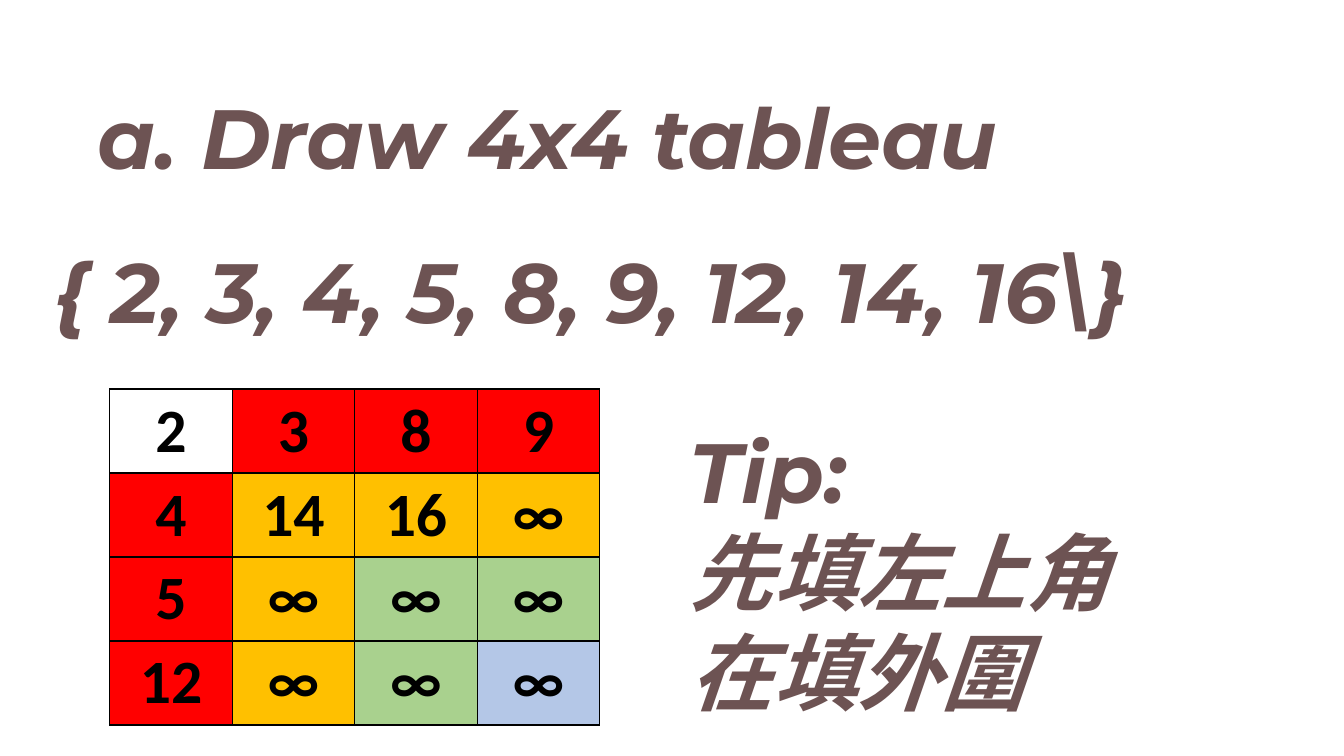
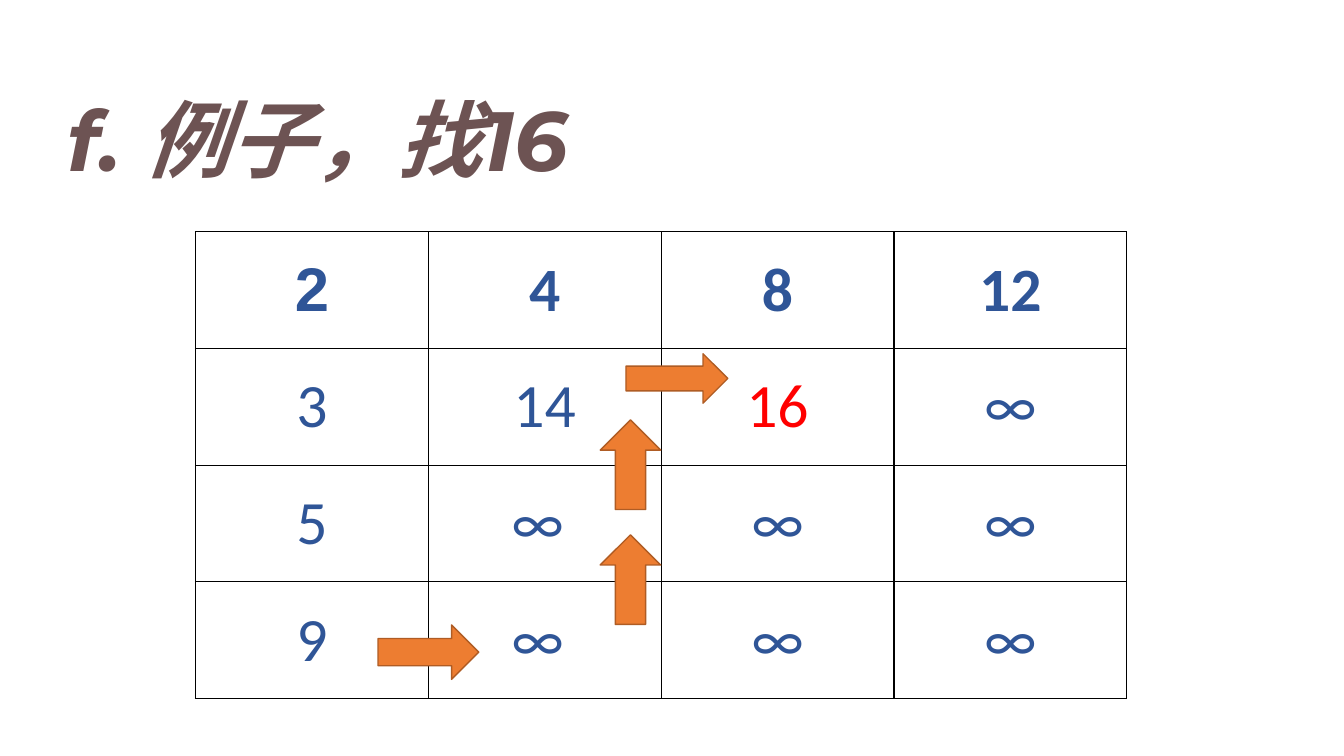
import pptx
import pptx.dml.color
import pptx.enum.shapes
import pptx.enum.text
import pptx.oxml
import pptx.oxml.ns
import pptx.util

WIDTH, HEIGHT = pptx.util.Inches(13.33), pptx.util.Inches(7.5)
COLUMN, ROW = WIDTH / 80, HEIGHT / 45

COLORS = {
    "heading": "6D5353",
    "white": "FFFFFF",
    "black": "000000",
    "red": "FF0000",
    "gold": "FFC000",
    "green": "A9D18E",
    "pale_blue": "B4C7E7",
    "blue": "2F5597",
    "arrow": "ED7D31",
    "arrow_edge": "AF5C24",
}
RING_COLORS = ["red", "gold", "green", "pale_blue"]
TITLE_ONLY, TITLE_AND_BODY = 5, 1

FILLED_TABLEAU = [
    ["2", "3", "8", "9"],
    ["4", "14", "16", "∞"],
    ["5", "∞", "∞", "∞"],
    ["12", "∞", "∞", "∞"],
]
SEARCHED_TABLEAU = [
    ["2", "4", "8", "12"],
    ["3", "14", "16", "∞"],
    ["5", "∞ ", "∞", "∞"],
    ["9", "∞ ", "∞", "∞"],
]
# Left, top, width, height and rotation of each step of the search
SEARCH_STEPS = [
    (34.86, 32.7, 5.34, 3.6, 270),
    (22.5, 37.2, 6, 3.24, 0),
    (34.86, 25.86, 5.34, 3.6, 270),
    (37.26, 21.06, 6.06, 2.94, 0),
]


def rgb(name):
    return pptx.dml.color.RGBColor.from_string(COLORS[name])


def grid_box(left, top, width, height):
    """Turn grid columns and rows into slide lengths."""
    return [round(n * unit) for n, unit in
            ((left, COLUMN), (top, ROW), (width, COLUMN), (height, ROW))]


def paint(shape_or_cell, color):
    shape_or_cell.fill.solid()
    shape_or_cell.fill.fore_color.rgb = rgb(color)


def format_runs(paragraph, size, face, color, bold, italic=False):
    for run in paragraph.runs:
        run.font.size = pptx.util.Pt(size)
        run.font.name = face
        run.font.color.rgb = rgb(color)
        run.font.bold = bold
        run.font.italic = italic


def write_heading(holder, text):
    """Fill a text box or placeholder in the shared heading style."""
    frame = holder.text_frame
    frame.text = text
    frame.word_wrap = True
    frame.auto_size = pptx.enum.text.MSO_AUTO_SIZE.NONE
    frame.vertical_anchor = pptx.enum.text.MSO_ANCHOR.TOP
    for paragraph in frame.paragraphs:
        properties = paragraph._p.get_or_add_pPr()
        properties.set("marL", "0")
        properties.set("indent", "0")
        pptx.oxml.ns.qn("a:buNone")
        properties.append(pptx.oxml.parse_xml(
            f'<a:buNone {pptx.oxml.ns.nsdecls("a")}/>'))
        paragraph.space_before = pptx.util.Pt(0)
        paragraph.alignment = pptx.enum.text.PP_ALIGN.LEFT
        format_runs(paragraph, 60, "Montserrat", "heading", True, True)


def place_heading(placeholder, box, text):
    placeholder.left, placeholder.top, placeholder.width, placeholder.height = grid_box(*box)
    write_heading(placeholder, text)


def add_heading_line(slide, box, text):
    write_heading(slide.shapes.add_textbox(*grid_box(*box)), text)


def outline_cell(cell):
    properties = cell._tc.get_or_add_tcPr()
    for side in "LRTB":
        properties.append(pptx.oxml.parse_xml(
            f'<a:ln{side} {pptx.oxml.ns.nsdecls("a")} w="12700"><a:solidFill>'
            f'<a:srgbClr val="{COLORS["black"]}"/></a:solidFill></a:ln{side}>'))


def add_tableau(slide, box, values, cell_style):
    """Draw a tableau; cell_style(row, column) gives fill, face, colour, bold."""
    left, top, width, height = grid_box(*box)
    table = slide.shapes.add_table(len(values), len(values[0]),
                                   left, top, width, height).table
    table.first_row = table.horz_banding = False
    for r, numbers in enumerate(values):
        for c, number in enumerate(numbers):
            fill, face, color, bold = cell_style(r, c)
            cell = table.cell(r, c)
            outline_cell(cell)
            paint(cell, fill)
            cell.margin_top = cell.margin_bottom = pptx.util.Inches(0.04)
            cell.vertical_anchor = pptx.enum.text.MSO_ANCHOR.MIDDLE
            cell.text_frame.text = number
            paragraph = cell.text_frame.paragraphs[0]
            paragraph.alignment = pptx.enum.text.PP_ALIGN.CENTER
            format_runs(paragraph, 44, face, color, bold)


def ring_style(r, c):
    """Colour cells by their distance from the top and left edges."""
    fill = RING_COLORS[min(r, c)] if r or c else "white"
    return fill, "Calibri", "black", True


def search_style(r, c):
    face = "Calibri" if r or c else "Arial"
    color = "red" if SEARCHED_TABLEAU[r][c] == "16" else "blue"
    return "white", face, color, r == 0


def add_step_arrow(slide, left, top, width, height, rotation):
    arrow = slide.shapes.add_shape(pptx.enum.shapes.MSO_SHAPE.RIGHT_ARROW,
                                   *grid_box(left, top, width, height))
    arrow.rotation = rotation
    arrow.shadow.inherit = False
    paint(arrow, "arrow")
    arrow.line.color.rgb = rgb("arrow_edge")
    arrow.line.width = pptx.util.Pt(1)


def build_drawing_slide(deck):
    slide = deck.slides.add_slide(deck.slide_layouts[TITLE_AND_BODY])
    place_heading(slide.shapes.title, (5.22, 4.8, 56.58, 6.66), "a. Draw 4x4 tableau")
    add_heading_line(slide, (2.64, 13.98, 75.54, 6.66),
                     "{ 2, 3, 4, 5, 8, 9, 12, 14, 16\\}")
    add_tableau(slide, (6.54, 23.16, 29.16, 20), FILLED_TABLEAU, ring_style)
    place_heading(slide.placeholders[1], (40.44, 24.66, 28.74, 18.78),
                  "Tip:\n先填左上角\n在填外圍")


def build_search_slide(deck):
    slide = deck.slides.add_slide(deck.slide_layouts[TITLE_ONLY])
    place_heading(slide.shapes.title, (3.42, 4.92, 34.86, 6.66), "f. 例子，找16")
    add_tableau(slide, (11.64, 13.8, 55.44, 27.78), SEARCHED_TABLEAU, search_style)
    for step in SEARCH_STEPS:
        add_step_arrow(slide, *step)


def main():
    deck = pptx.Presentation()
    deck.slide_width, deck.slide_height = WIDTH, HEIGHT
    build_drawing_slide(deck)
    build_search_slide(deck)
    deck.save("out.pptx")


if __name__ == "__main__":
    main()
